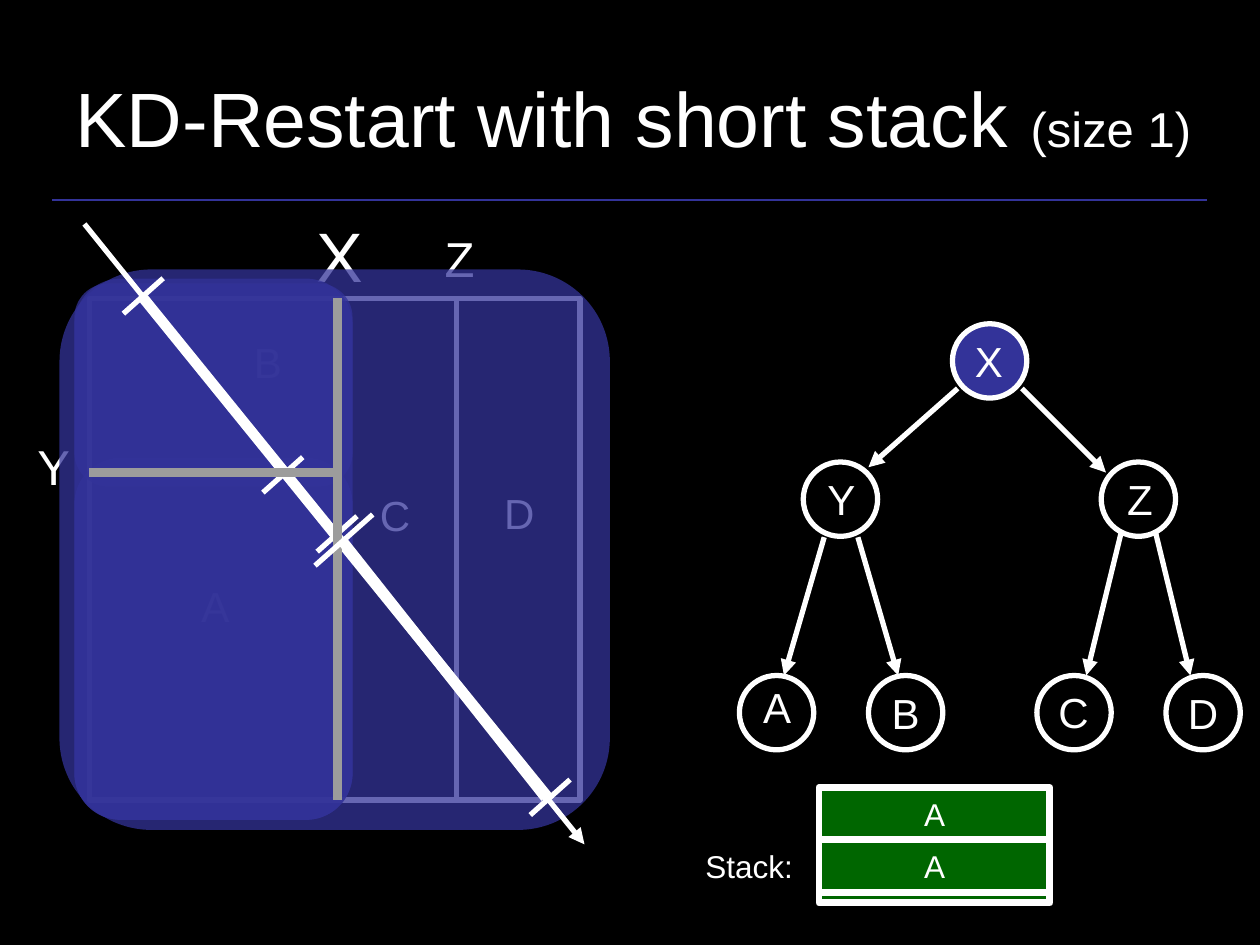
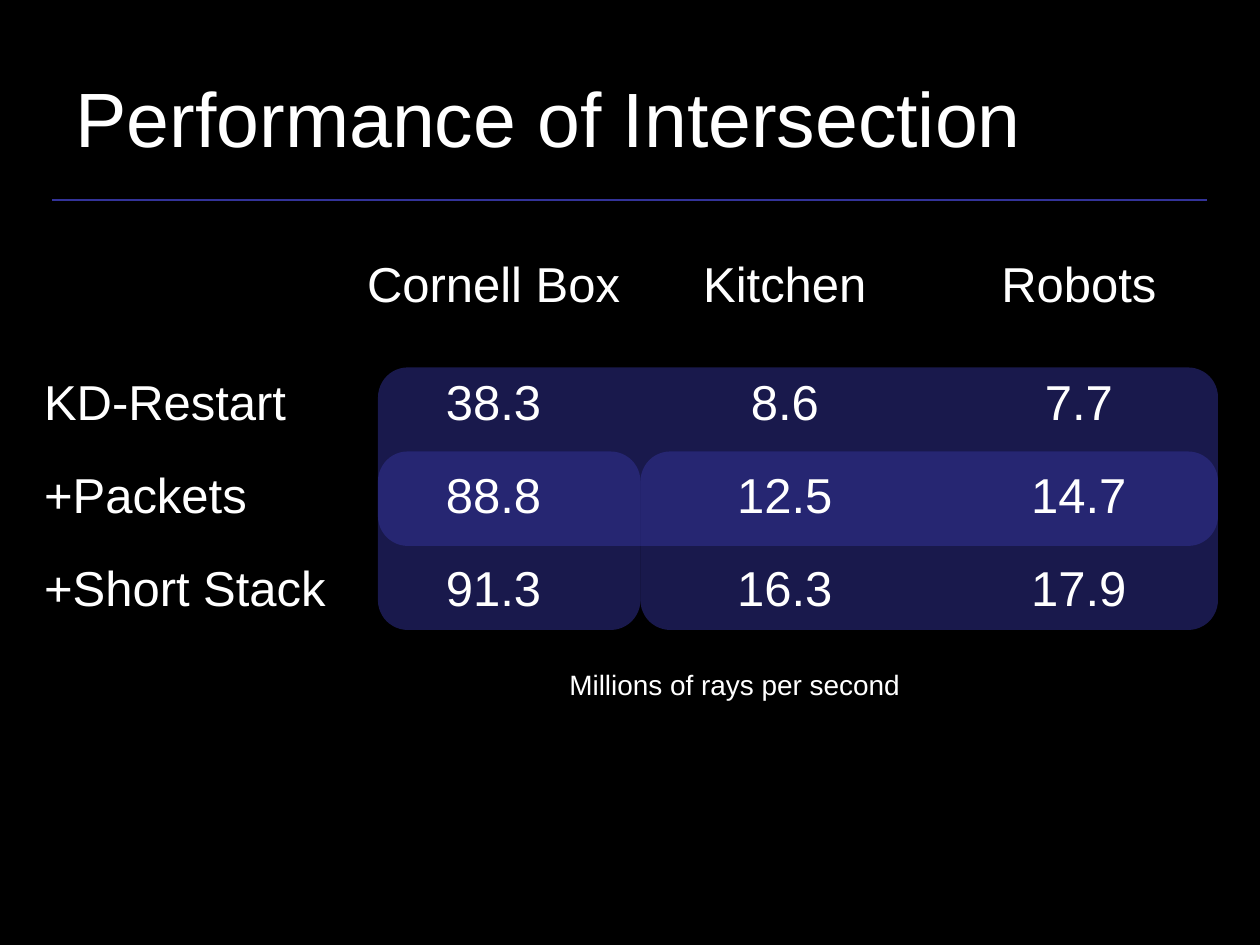
from lxml.etree import SubElement
from pptx import Presentation
from pptx.dml.color import RGBColor
from pptx.enum.shapes import MSO_CONNECTOR, MSO_SHAPE
from pptx.enum.text import MSO_ANCHOR, MSO_AUTO_SIZE, PP_ALIGN
from pptx.oxml.ns import qn
from pptx.util import Pt

COLORS = {
    name: RGBColor.from_string(value)
    for name, value in {
        "black": "000000",
        "white": "FFFFFF",
        "blue": "333399",
        "gray": "9C9C9C",
        "green": "006600",
    }.items()
}
FONT_FORMAT = {"name": "Arial", "bold": False}
FRAME_FORMAT = {"word_wrap": False, "auto_size": MSO_AUTO_SIZE.NONE}
TITLE_FORMAT = {
    "word_wrap": True,
    "auto_size": MSO_AUTO_SIZE.NONE,
    "vertical_anchor": MSO_ANCHOR.MIDDLE,
}
TABLE_FORMAT = {"first_row": False, "horz_banding": False}
NO_STYLE_NO_GRID = "{2D5ABB26-0587-4C30-8999-92F81FD0307C}"


def add_run(paragraph, text, size):
    run = paragraph.add_run()
    run.text = text
    for attribute, value in {**FONT_FORMAT, "size": Pt(size)}.items():
        setattr(run.font, attribute, value)
    run.font.color.rgb = COLORS["white"]


def add_line(slide, points, width, color="white", arrow=False):
    """Draw a straight line through points (x1, y1, x2, y2)."""
    line = slide.shapes.add_connector(MSO_CONNECTOR.STRAIGHT, *map(Pt, points))
    line.line.width = Pt(width)
    line.line.color.rgb = COLORS[color]
    properties = line._element.spPr
    if arrow:
        SubElement(properties.find(qn("a:ln")), qn("a:tailEnd"), type="triangle")
    SubElement(properties, qn("a:effectLst"))


presentation = Presentation()
presentation.slide_width = Pt(720)
presentation.slide_height = Pt(540)
background = presentation.slide_master.background.fill
background.solid()
background.fore_color.rgb = COLORS["black"]

# Titles and the rule below them
titles = [
    (672, [("KD-Restart with short stack ", 44), ("(size 1)", 28)]),
    (600, [("Performance of Intersection", 44)]),
]
for title_width, runs in titles:
    slide = presentation.slides.add_slide(presentation.slide_layouts[5])
    title = slide.shapes.title
    title.left, title.top, title.width, title.height = map(Pt, (36, 21.5, title_width, 90))
    for attribute, value in TITLE_FORMAT.items():
        setattr(title.text_frame, attribute, value)
    paragraph = title.text_frame.paragraphs[0]
    paragraph.alignment = PP_ALIGN.LEFT
    for text, size in runs:
        add_run(paragraph, text, size)
    add_line(slide, (30, 114.25, 690, 114.25), 1, "blue")
tree_slide, performance_slide = presentation.slides

# Space cells, tree nodes and stack entries
left, split_x, split_z, right = 51, 193, 260.75, 331.5
top, split_y, bottom = 170.5, 270, 457.25
cells = [
    (split_x, top, split_z, bottom),
    (left, top, split_x, split_y),
    (left, split_y, split_x, bottom),
    (split_z, top, right, bottom),
]
node_size = 42.5
nodes = [
    (544.25, 185, "blue"),
    (459, 264, "black"),
    (629.25, 264, "black"),
    *((x, 386, "black") for x in (422.5, 496.25, 592.5, 666.25)),
]
stack_entries = [(450, 30, "A"), (510, 6, ""), (480, 30, "A")]
outlined = [
    *((MSO_SHAPE.RECTANGLE, (x1, y1, x2 - x1, y2 - y1), None, 3, "") for x1, y1, x2, y2 in cells),
    *((MSO_SHAPE.OVAL, (x, y, node_size, node_size), fill, 3, "") for x, y, fill in nodes),
    *((MSO_SHAPE.RECTANGLE, (468, y, 132, height), "green", 4, text)
      for y, height, text in stack_entries),
]
for kind, box, fill, line_width, text in outlined:
    shape = tree_slide.shapes.add_shape(kind, *map(Pt, box))
    shape.shadow.inherit = False
    shape.line.width = Pt(line_width)
    shape.line.color.rgb = COLORS["white"]
    if fill:
        shape.fill.solid()
        shape.fill.fore_color.rgb = COLORS[fill]
    else:
        shape.fill.background()
    if text:
        shape.text_frame.word_wrap = False
        shape.text_frame.vertical_anchor = MSO_ANCHOR.MIDDLE
        paragraph = shape.text_frame.paragraphs[0]
        paragraph.alignment = PP_ALIGN.CENTER
        add_run(paragraph, text, 18)

# Labels of the cells, split planes, nodes, stack and table
labels = [
    (tree_slide, "A", 108, 328.25, 30, 24),
    (tree_slide, "B", 138, 188.5, 30, 24),
    (tree_slide, "C", 210, 276, 31.5, 24),
    (tree_slide, "D", 281, 275, 31.5, 24),
    (tree_slide, "X", 174, 118, 41, 40),
    (tree_slide, "Y", 14.25, 246, 33, 28),
    (tree_slide, "Z", 247, 126.75, 31.5, 28),
    (tree_slide, "X", 550, 188, 30, 24),
    (tree_slide, "Y", 465.75, 267, 30, 24),
    (tree_slide, "Z", 637, 267, 29, 24),
    (tree_slide, "A", 429, 386, 30, 24),
    (tree_slide, "B", 502.5, 389.5, 30, 24),
    (tree_slide, "C", 597.75, 389, 31.5, 24),
    (tree_slide, "D", 671.75, 389.5, 31.5, 24),
    (tree_slide, "Stack:", 396, 480.25, 64, 18),
    (performance_slide, "Millions of rays per second", 318.25, 378, 203, 16),
]
for slide, text, x, y, width, size in labels:
    height = 1.2 * size + 7.2
    label = slide.shapes.add_textbox(Pt(x), Pt(y), Pt(width), Pt(height))
    for attribute, value in FRAME_FORMAT.items():
        setattr(label.text_frame, attribute, value)
    add_run(label.text_frame.paragraphs[0], text, size)

# Translucent highlights
highlights = [
    (tree_slide, (42.5, 162, 159, 116), 75),
    (tree_slide, (34, 154, 314.5, 320.25), 75),
    (tree_slide, (42.5, 159.25, 159, 309.25), 75),
    (tree_slide, (42.5, 261.5, 159, 207), 75),
    (performance_slide, (216, 210, 480, 102), 50),
    (performance_slide, (216, 258, 150, 102), 50),
    (performance_slide, (366, 258, 330, 102), 50),
]
for slide, box, opacity in highlights:
    shape = slide.shapes.add_shape(MSO_SHAPE.ROUNDED_RECTANGLE, *map(Pt, box))
    shape.adjustments[0] = 0.167
    shape.shadow.inherit = False
    shape.line.fill.background()
    shape.fill.solid()
    shape.fill.fore_color.rgb = COLORS["blue"]
    color = shape._element.spPr.find(qn("a:solidFill"))[0]
    SubElement(color, qn("a:alpha"), val=str(opacity * 1000))

# Tree edges and the ray
arrows = [
    (547.25, 222, 496.25, 267),
    (584, 222, 632, 270),
    (471, 307, 448, 386),
    (490.25, 307, 513.25, 386),
    (640.75, 304, 620.75, 386),
    (660.25, 304, 680.25, 386),
    (48.25, 128, 334, 482.5),
]
for points in arrows:
    add_line(tree_slide, points, 3, arrow=True)

ray_marks = [(70.5, 179.25), (303, 465.75), (150.25, 281.5), (181.25, 315.25)]
for x, y in ray_marks:
    add_line(tree_slide, (x, y, x + 22.75, y - 20.25), 3)
add_line(tree_slide, (82, top, 314.5, bottom), 6)
add_line(tree_slide, (split_x, top, split_x, bottom), 5, "gray")
add_line(tree_slide, (left, split_y, split_x, split_y), 5, "gray")
add_line(tree_slide, (213, 294, 180, 323.25), 3)
add_line(tree_slide, (311.75, 455.75, 196.5, 310.25), 6)

# Performance table
rows = [
    (41, ["", "Cornell Box", "Kitchen", "Robots"]),
    (26.5, ["", "", "", ""]),
    (53, ["KD-Restart", "38.3", "8.6", "7.7"]),
    (53, ["+Packets", "88.8", "12.5", "14.7"]),
    (53, ["+Short Stack", "91.3", "16.3", "17.9"]),
]
column_widths = [180, 168, 165, 171]
table = performance_slide.shapes.add_table(
    len(rows), len(column_widths), Pt(18), Pt(144), Pt(684), Pt(226.5)
).table
for attribute, value in TABLE_FORMAT.items():
    setattr(table, attribute, value)
table._tbl.tblPr.find(qn("a:tableStyleId")).text = NO_STYLE_NO_GRID
for column, width in zip(table.columns, column_widths):
    column.width = Pt(width)
for row, (height, texts) in zip(table.rows, rows):
    row.height = Pt(height)
    for index, (cell, text) in enumerate(zip(row.cells, texts)):
        cell.fill.background()
        if text:
            paragraph = cell.text_frame.paragraphs[0]
            paragraph.alignment = PP_ALIGN.CENTER if index else PP_ALIGN.LEFT
            add_run(paragraph, text, 28)
        else:
            cell.margin_top = cell.margin_bottom = 0

presentation.save("out.pptx")
